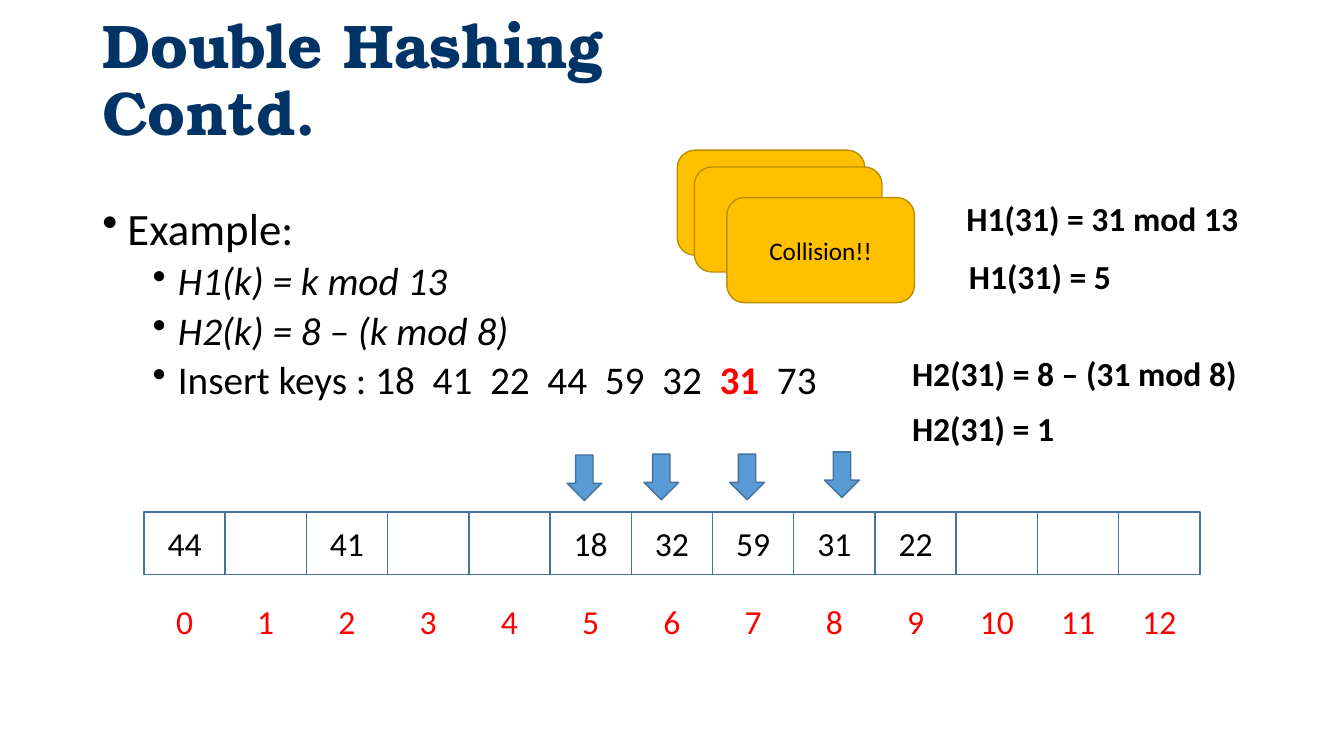
from dataclasses import dataclass

from lxml.etree import SubElement
from pptx import Presentation
from pptx.dml.color import RGBColor
from pptx.enum.shapes import MSO_SHAPE as Shape
from pptx.enum.text import MSO_ANCHOR as Anchor, PP_ALIGN as Align
from pptx.oxml.ns import qn
from pptx.util import Pt

COLORS = {
    "navy": "003366", "black": "000000", "red": "FF0000",
    "blue": "5B9BD5", "blue_line": "43739E",
    "amber": "FFC000", "amber_line": "BD8E00",
}
TABLE_SLOTS = 13
STORED_KEYS = {0: 44, 2: 41, 5: 18, 6: 32, 7: 59, 8: 31, 9: 22}
CELL_LEFT, CELL_W, CELL_H = 102.8, 58.02, 44.8
CELL_TOP, INDEX_TOP = 365.8, 421.2


@dataclass
class Box:
    left: float
    top: float
    width: float
    height: float

    def lengths(self) -> tuple:
        return Pt(self.left), Pt(self.top), Pt(self.width), Pt(self.height)


@dataclass
class Formula:
    text: str
    box: Box


@dataclass
class Bullet:
    text: str
    level: int = 1
    size: float = 28
    italic: bool = False
    before: float = 5


FORMULAS = [
    Formula("H1(31) = 31 mod 13", Box(683.2, 138.2, 211, 36)),
    Formula("H1(31) = 5", Box(685, 179.2, 211, 36)),
    Formula("H2(31) = 8 – (31 mod 8)", Box(644.4, 248.6, 250, 36)),
    Formula("H2(31) = 1", Box(644.4, 288, 211, 36)),
]
BULLETS = [
    Bullet("Example:", level=0, size=32, before=0),
    Bullet("H1(k) = k mod 13", italic=True),
    Bullet("H2(k) = 8 – (k mod 8)", italic=True),
    Bullet("Insert keys : 18  41  22  44  59  32  "),
]
CARDS = [Box(left, top, 134, 75) for left, top in
         [(483.8, 107.3), (496, 119.3), (519.2, 141.2)]]
PROBES = [Box(left, top, 24.8, 32.6) for left, top in
          [(405, 325), (460, 324.4), (521.2, 324.4), (589, 322.8)]]


def rgb(name: str) -> RGBColor:
    return RGBColor.from_string(COLORS[name])


def add_run(p, text: str, *, size: float = 24, color: str = "black",
            bold: bool = False, italic: bool = False, font: str = "Calibri"):
    r = p.add_run()
    r.text = text
    r.font.name = font
    r.font.size = Pt(size)
    r.font.bold = bold
    r.font.italic = italic
    r.font.color.rgb = rgb(color)


def add_text_box(s, box: Box, anchor=Anchor.TOP):
    tf = s.shapes.add_textbox(*box.lengths()).text_frame
    tf.word_wrap = True
    tf.vertical_anchor = anchor
    return tf


def add_shape(s, kind, box: Box, line: str, fill: str | None = None):
    sp = s.shapes.add_shape(kind, *box.lengths())
    sp.shadow.inherit = False
    if fill:
        sp.fill.solid()
        sp.fill.fore_color.rgb = rgb(fill)
    else:
        sp.fill.background()
    sp.line.color.rgb = rgb(line)
    sp.line.width = Pt(1)
    return sp


def add_centered(tf, text: str, **fmt):
    tf.vertical_anchor = Anchor.MIDDLE
    p = tf.paragraphs[0]
    p.alignment = Align.CENTER
    add_run(p, text, **fmt)


def add_title(s):
    tf = add_text_box(s, Box(66, 6.4, 828, 104.4), Anchor.MIDDLE)
    p = tf.paragraphs[0]
    p.line_spacing = 0.9
    fmt = dict(size=44, color="navy", bold=True, font="TeX Gyre Bonum")
    add_run(p, "Double Hashing", **fmt)
    p.add_line_break()
    add_run(p, "Contd.", **fmt)


def add_bullets(s):
    tf = add_text_box(s, Box(66, 144, 828, 342.6))
    for i, bullet in enumerate(BULLETS):
        p = tf.add_paragraph() if i else tf.paragraphs[0]
        p.level = bullet.level
        pPr = p._p.get_or_add_pPr()
        pPr.set("marL", str(Pt(18 + 36 * bullet.level)))
        pPr.set("indent", str(Pt(-18)))
        SubElement(pPr, qn("a:buChar")).set("char", "•")
        p.line_spacing = 0.9
        p.space_before = Pt(bullet.before)
        add_run(p, bullet.text, size=bullet.size, italic=bullet.italic)
    add_run(p, "31", size=28, color="red", bold=True)
    add_run(p, "  73", size=28)


def add_hash_table(s):
    """Draw the row of slots with the stored keys and the slot indexes below."""
    for i in range(TABLE_SLOTS):
        left = CELL_LEFT + i * CELL_W
        sp = add_shape(s, Shape.RECTANGLE, Box(left, CELL_TOP, CELL_W, CELL_H),
                       "blue_line")
        if i in STORED_KEYS:
            add_centered(sp.text_frame, str(STORED_KEYS[i]))
        tf = add_text_box(s, Box(left, INDEX_TOP, CELL_W, CELL_H))
        add_centered(tf, str(i), color="red")


def main():
    prs = Presentation()
    prs.slide_width, prs.slide_height = Pt(960), Pt(540)
    s = prs.slides.add_slide(prs.slide_layouts[6])
    add_title(s)
    add_bullets(s)
    add_hash_table(s)
    for formula in FORMULAS:
        tf = add_text_box(s, formula.box)
        add_run(tf.paragraphs[0], formula.text, bold=True)
    for box in CARDS:
        card = add_shape(s, Shape.ROUNDED_RECTANGLE, box, "amber_line", "amber")
    add_centered(card.text_frame, "Collision!!", size=18)
    for box in PROBES:
        add_shape(s, Shape.DOWN_ARROW, box, "blue_line", "blue")
    prs.save("out.pptx")


if __name__ == "__main__":
    main()
